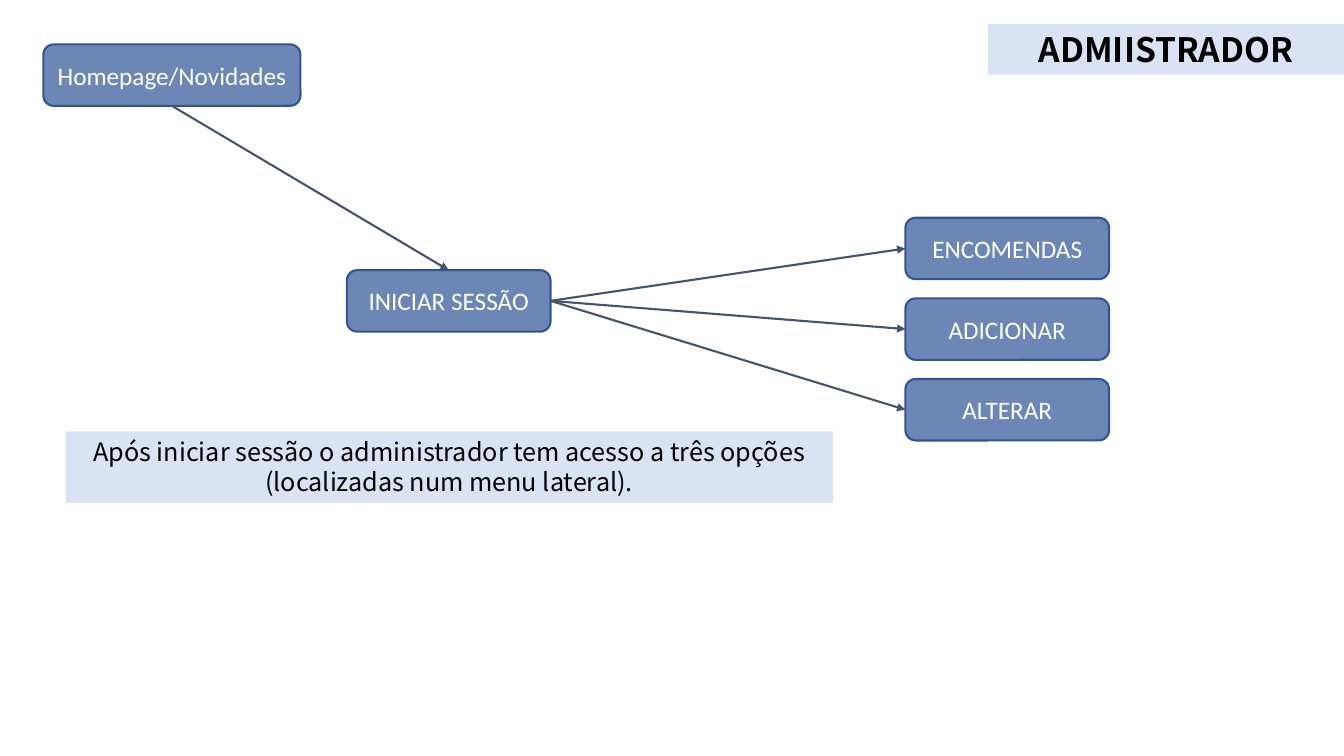
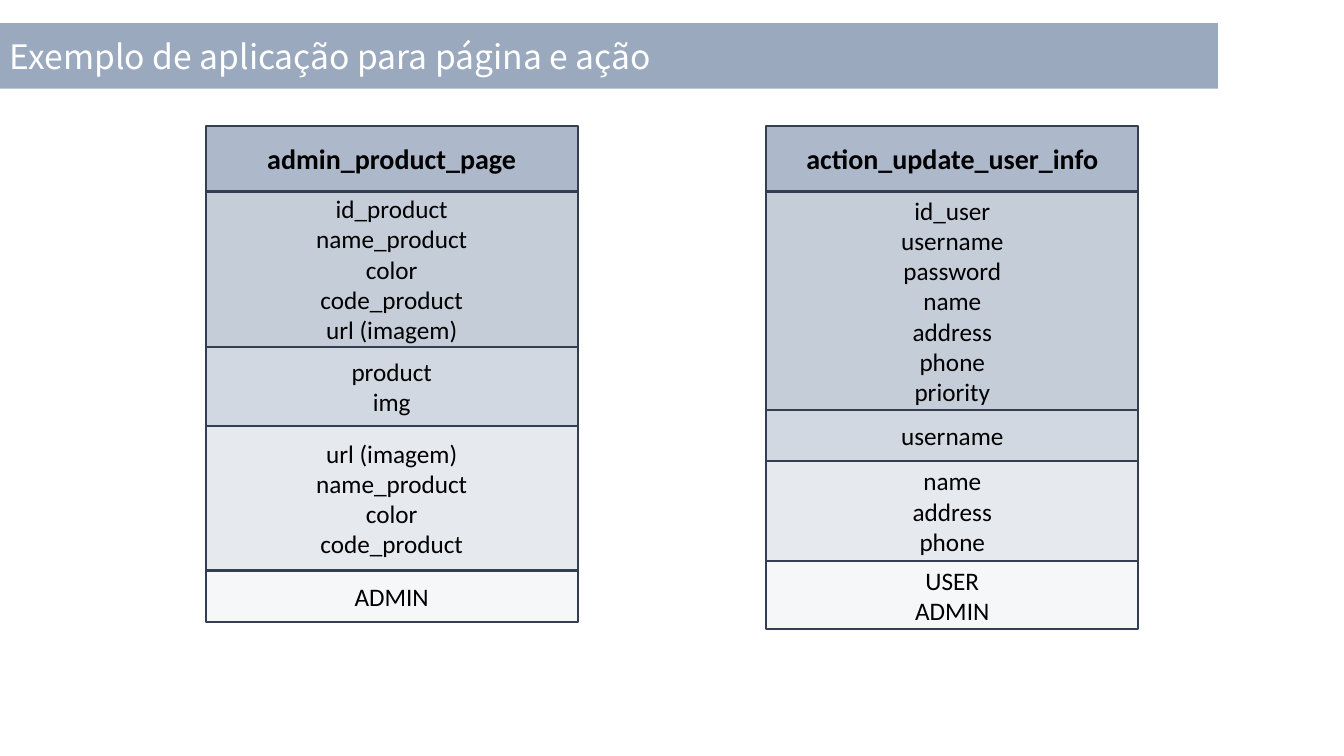
from lxml import etree
from pptx import Presentation
from pptx import util as u
from pptx.dml.color import RGBColor
from pptx.enum import shapes, text
from pptx.oxml import ns

PX = 9144
WIDTH, HEIGHT = 1333, 750

WHITE = RGBColor(0xFF, 0xFF, 0xFF)
BLACK = RGBColor(0x00, 0x00, 0x00)
PALE_BLUE = RGBColor(0xDA, 0xE3, 0xF3)
NODE_BLUE = RGBColor(0x2F, 0x55, 0x97)
NODE_EDGE = RGBColor(0x32, 0x54, 0x91)
SLATE = RGBColor(0x44, 0x54, 0x6A)
CARD_BLUE = RGBColor(0xAD, 0xB9, 0xCA)
CARD_EDGE = RGBColor(0x33, 0x3F, 0x50)
BAND_BLUE = RGBColor(0x84, 0x97, 0xB0)

BODY_FONT = "Calibri"
TITLE_FONT = "Noto Sans CJK JP"

TOP, LEFT, BOTTOM, RIGHT = range(4)


def write(frame, lines, font=BODY_FONT, size=18, color=BLACK, bold=False,
          align=text.PP_ALIGN.CENTER, anchor=text.MSO_ANCHOR.MIDDLE, spacing=None):
    frame.word_wrap = True
    frame.vertical_anchor = anchor
    for index, line in enumerate(lines):
        paragraph = frame.add_paragraph() if index else frame.paragraphs[0]
        paragraph.alignment = align
        if spacing:
            paragraph.line_spacing = u.Pt(spacing)
        run = paragraph.add_run()
        run.text = line
        run.font.name = font
        run.font.size = u.Pt(size)
        run.font.bold = bold
        run.font.color.rgb = color


class Deck:
    edge_width = u.Pt(1.5)
    section_opacities = (70, 55, 30, 10)

    def __init__(self):
        self.presentation = Presentation()
        self.presentation.slide_width = WIDTH * PX
        self.presentation.slide_height = HEIGHT * PX
        self.slide = None

    def new_slide(self):
        self.slide = self.presentation.slides.add_slide(self.presentation.slide_layouts[6])

    def box(self, left, top, width, height, lines, fill, opacity=100, edge=None,
            kind=shapes.MSO_SHAPE.RECTANGLE, **style):
        box = self.slide.shapes.add_shape(
            kind, left * PX, top * PX, width * PX, height * PX)
        box.shadow.inherit = False
        box.fill.solid()
        box.fill.fore_color.rgb = fill
        if opacity < 100:
            tint = box.element.spPr.find(ns.qn("a:solidFill")).find(ns.qn("a:srgbClr"))
            etree.SubElement(tint, ns.qn("a:alpha")).set("val", str(opacity * 1000))
        if edge is None:
            box.line.fill.background()
        else:
            box.line.color.rgb = edge
            box.line.width = self.edge_width
        write(box.text_frame, lines, **style)
        return box

    def node(self, left, top, label, width=202):
        return self.box(left, top, width, 61, [label], NODE_BLUE, opacity=70,
                        edge=NODE_EDGE, kind=shapes.MSO_SHAPE.ROUNDED_RECTANGLE,
                        color=WHITE)

    def arrow(self, source, source_side, target, target_side):
        arrow = self.slide.shapes.add_connector(shapes.MSO_CONNECTOR.STRAIGHT, 0, 0, 0, 0)
        arrow.begin_connect(source, source_side)
        arrow.end_connect(target, target_side)
        arrow.line.color.rgb = SLATE
        arrow.line.width = self.edge_width
        outline = arrow.element.spPr.find(ns.qn("a:ln"))
        etree.SubElement(outline, ns.qn("a:tailEnd")).set("type", "triangle")
        etree.SubElement(arrow.element.spPr, ns.qn("a:effectLst"))

    def caption(self, left, top, width, height, caption, **style):
        self.box(left, top, width, height, [caption], PALE_BLUE, font=TITLE_FONT,
                 anchor=text.MSO_ANCHOR.TOP, **style)

    def title_band(self, title):
        self.box(0, 23, 1208, 65, [title], BAND_BLUE, opacity=82, font=TITLE_FONT,
                 size=24, color=WHITE, align=text.PP_ALIGN.LEFT)

    def card(self, left, heading, sections):
        top, width, heading_height = 125, 369, 65
        self.box(left, top, width, heading_height, [heading], CARD_BLUE,
                 edge=CARD_EDGE, size=20, bold=True)
        top += heading_height
        for opacity, (height, fields) in zip(self.section_opacities, sections):
            self.box(left, top, width, height, fields, CARD_BLUE,
                     opacity=opacity, edge=CARD_EDGE)
            top += height


def build_site_map(deck):
    deck.new_slide()
    homepage = deck.node(43, 44, "Homepage/Novidades", width=255)
    login = deck.node(344, 268, "INICIAR SESSÃO")
    deck.arrow(homepage, BOTTOM, login, TOP)
    for row, label in enumerate(("ENCOMENDAS", "ADICIONAR", "ALTERAR")):
        option = deck.node(898, 216 + 80 * row, label)
        deck.arrow(login, RIGHT, option, LEFT)
    deck.caption(65, 428, 761, 71,
                 "Após iniciar sessão o administrador tem acesso a três opções "
                 "(localizadas num menu lateral).", spacing=21.6)
    deck.caption(980, 24, 353, 50, "ADMIISTRADOR", size=24, bold=True, spacing=28.8)


def build_example(deck):
    deck.new_slide()
    deck.card(204, "admin_product_page", (
        (154, ("id_product", "name_product", "color", "code_product", "url (imagem)")),
        (79, ("product", "img")),
        (143, ("url (imagem)", "name_product", "color", "code_product")),
        (51, ("ADMIN",)),
    ))
    deck.card(760, "action_update_user_info", (
        (217, ("id_user", "username", "password", "name", "address", "phone", "priority")),
        (50, ("username",)),
        (100, ("name", "address", "phone")),
        (67, ("USER", "ADMIN")),
    ))
    deck.title_band("Exemplo de aplicação para página e ação")


def main():
    deck = Deck()
    build_site_map(deck)
    build_example(deck)
    deck.presentation.save("out.pptx")


if __name__ == "__main__":
    main()
